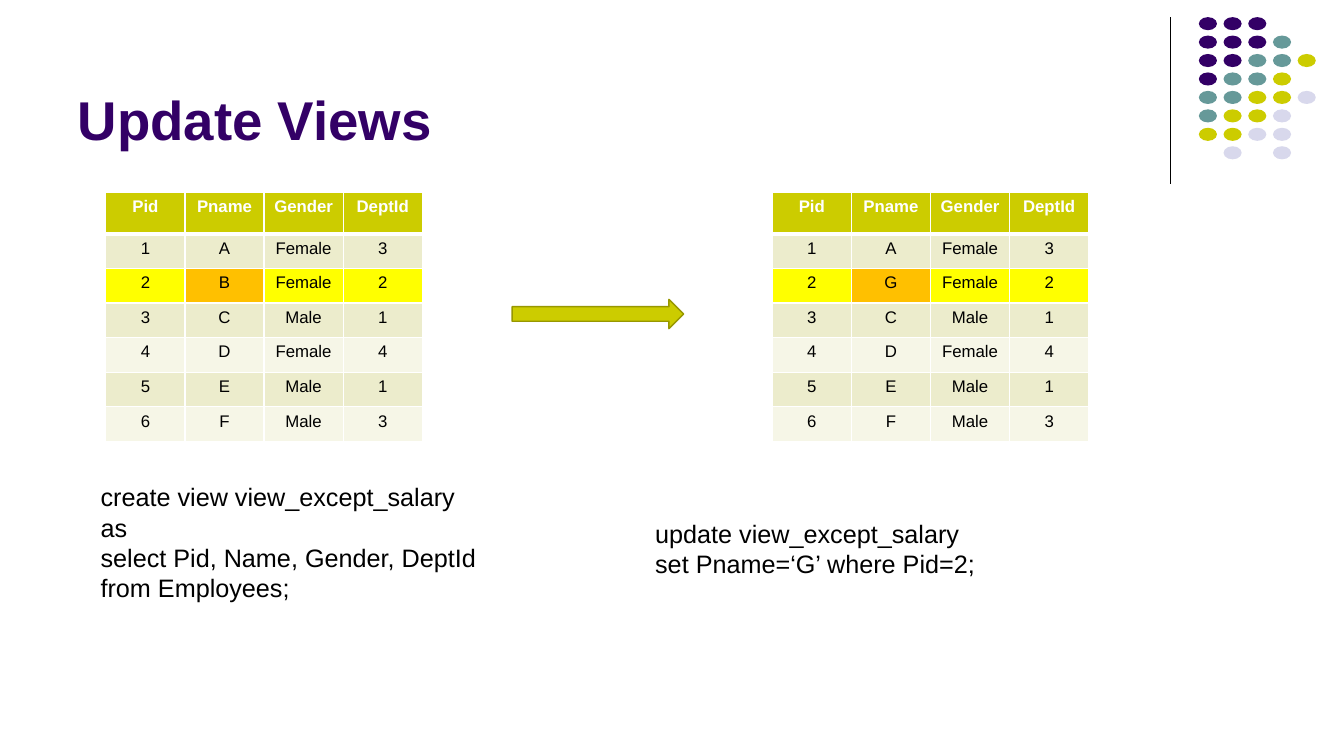
"""Build the "Update Views" slide: a view before and after an update statement."""
from dataclasses import dataclass

from lxml.etree import SubElement
from pptx import Presentation
from pptx.dml.color import RGBColor as RGB
from pptx.enum.shapes import MSO_CONNECTOR as CONN, MSO_SHAPE as SHAPE
from pptx.enum.text import MSO_ANCHOR as ANCHOR, MSO_AUTO_SIZE as AUTO, PP_ALIGN as ALIGN
from pptx.oxml import parse_xml
from pptx.oxml.ns import nsdecls, qn
from pptx.util import Inches, Pt

TITLE = "Update Views"
HEADER = ("Pid", "Pname", "Gender", "DeptId")
BEFORE = [
    ("1", "A", "Female", "3"),
    ("2", "B", "Female", "2"),
    ("3", "C", "Male", "1"),
    ("4", "D", "Female", "4"),
    ("5", "E", "Male", "1"),
    ("6", "F", "Male", "3"),
]
CHANGED_PID = "2"
AFTER = [(pid, "G" if pid == CHANGED_PID else name, *rest) for pid, name, *rest in BEFORE]
TABLES = [(1.05, BEFORE), (7.66, AFTER)]
STATEMENTS = [
    ((0.9, 4.73, 5.27, 1.31), ["create view view_except_salary", "as",
                               "select Pid, Name, Gender, DeptId", "from Employees;"]),
    ((6.4, 5.09, 5.27, 0.71), ["update view_except_salary", "set Pname=‘G’ where Pid=2;"]),
]
DOTS = ["PPP", "PPPT", "PPTTY", "PTTY", "TTYYL", "TYYL", "YYLL", " L L"]


@dataclass(frozen=True)
class Theme:
    font: str = "Arial"
    title_size: float = 39
    body_size: float = 18
    cell_size: float = 12
    purple: str = "330066"
    teal: str = "669999"
    lime: str = "CCCC00"
    lavender: str = "D8D8EC"
    olive: str = "979700"
    band_dark: str = "ECECCC"
    band_light: str = "F6F6E7"
    row_mark: str = "FFFF00"
    cell_mark: str = "FFC000"
    black: str = "000000"
    white: str = "FFFFFF"


THEME = Theme()
DOT_COLORS = {"P": THEME.purple, "T": THEME.teal, "Y": THEME.lime, "L": THEME.lavender}


def paint(fill, color):
    fill.solid()
    fill.fore_color.rgb = RGB.from_string(color)


def style_text(tf, size, color, bold=False, align=ALIGN.LEFT):
    for p in tf.paragraphs:
        p.alignment = align
        for r in p.runs:
            r.font.name, r.font.size, r.font.bold = THEME.font, Pt(size), bold
            r.font.color.rgb = RGB.from_string(color)


def add_preset(slide, kind, box, color):
    sp = slide.shapes.add_shape(kind, *map(Inches, box))
    sp.shadow.inherit = False
    paint(sp.fill, color)
    sp.line.fill.background()
    return sp


def add_ornament(slide):
    rule = slide.shapes.add_connector(
        CONN.STRAIGHT, Inches(11.61), Inches(0.17), Inches(11.61), Inches(1.83))
    rule.line.color.rgb = RGB.from_string(THEME.black)
    rule.line.width = Pt(0.75)
    SubElement(rule._element.spPr, qn("a:effectLst"))
    for row, codes in enumerate(DOTS):
        for col, code in enumerate(codes):
            if code in DOT_COLORS:
                box = (11.89 + col * 0.245, 0.17 + row * 0.183, 0.18, 0.13)
                add_preset(slide, SHAPE.OVAL, box, DOT_COLORS[code])


def add_title(slide):
    title = slide.shapes.title
    title.left, title.top, title.width, title.height = map(Inches, (0.67, 0.13, 11, 1.42))
    tf = title.text_frame
    tf.text = TITLE
    tf.vertical_anchor = ANCHOR.BOTTOM
    style_text(tf, THEME.title_size, THEME.purple, bold=True)


def add_statement(slide, box, lines):
    tf = slide.shapes.add_textbox(*map(Inches, box)).text_frame
    tf.word_wrap = True
    tf.auto_size = AUTO.SHAPE_TO_FIT_TEXT
    tf.text = "\n".join(lines)
    style_text(tf, THEME.body_size, THEME.black)


def set_borders(cell, top, bottom):
    tc_pr = cell._tc.get_or_add_tcPr()
    for i, (side, width) in enumerate(zip("LRTB", (1, 1, top, bottom))):
        tc_pr.insert(i, parse_xml(
            f'<a:ln{side} {nsdecls("a")} w="{Pt(width)}"><a:solidFill>'
            f'<a:srgbClr val="{THEME.white}"/></a:solidFill></a:ln{side}>'))


def cell_color(row, col, pid):
    if row == 0:
        return THEME.lime
    if pid == CHANGED_PID:
        return THEME.cell_mark if HEADER[col] == "Pname" else THEME.row_mark
    return THEME.band_dark if row % 2 else THEME.band_light


def add_view(slide, left, records):
    rows = [HEADER, *records]
    table = slide.shapes.add_table(
        len(rows), len(HEADER), Inches(left), Inches(1.91), Inches(3.14), Inches(2.47)).table
    for column in table.columns:
        column.width = Inches(3.14 / len(HEADER))
    for i, values in enumerate(rows):
        table.rows[i].height = Inches(2.06 / len(records) if i else 0.41)
        for j, value in enumerate(values):
            cell = table.cell(i, j)
            cell.text = value
            style_text(cell.text_frame, THEME.cell_size,
                       THEME.black if i else THEME.white, bold=i == 0, align=ALIGN.CENTER)
            paint(cell.fill, cell_color(i, j, values[0]))
            set_borders(cell, top=3 if i == 1 else 1, bottom=1 if i else 3)


def main():
    prs = Presentation()
    prs.slide_width, prs.slide_height = Inches(13.33), Inches(7.5)
    slide = prs.slides.add_slide(prs.slide_layouts[5])
    add_ornament(slide)
    add_title(slide)
    for box, lines in STATEMENTS:
        add_statement(slide, box, lines)
    arrow = add_preset(slide, SHAPE.RIGHT_ARROW, (5.08, 2.97, 1.7, 0.29), THEME.lime)
    arrow.line.color.rgb = RGB.from_string(THEME.olive)
    arrow.line.width = Pt(1)
    for left, records in TABLES:
        add_view(slide, left, records)
    prs.save("out.pptx")


if __name__ == "__main__":
    main()
